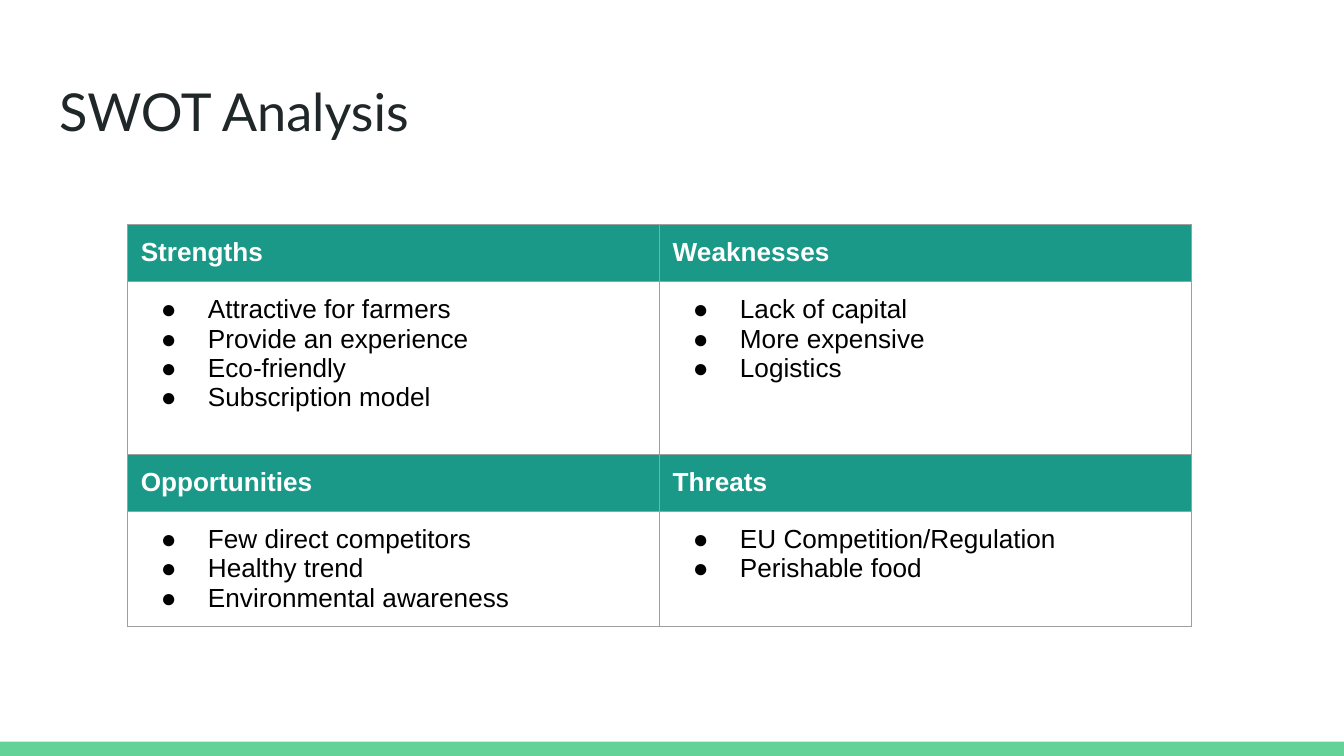
from typing import NamedTuple

from lxml import etree
from pptx import Presentation
from pptx.dml.color import RGBColor
from pptx.enum.shapes import MSO_SHAPE
from pptx.enum.text import MSO_ANCHOR, MSO_AUTO_SIZE, PP_ALIGN
from pptx.oxml.ns import qn
from pptx.util import Pt

RECTANGLE = MSO_SHAPE.RECTANGLE
TOP = MSO_ANCHOR.TOP
NO_AUTOFIT = MSO_AUTO_SIZE.NONE
LEFT = PP_ALIGN.LEFT

TITLE_ONLY = 5
WIDTH, HEIGHT = 720, 405
BAR_HEIGHT = 7.6
INSET = 7.2
TABLE_LEFT, TABLE_TOP = 68.2, 120.4
COLUMN_WIDTH = 285
HEADER_HEIGHT = 30.4
BORDER_WIDTH = 0.75
BULLET_INDENT, BULLET_HANGING = 36, 25.2

WHITE, BLACK = "FFFFFF", "000000"
TEAL, GREEN, GRAY, INK = "1A9988", "63D297", "9E9E9E", "202729"


class Quadrant(NamedTuple):
    heading: str
    points: list[str]


class Band(NamedTuple):
    body_height: float
    quadrants: list[Quadrant]


BANDS = [
    Band(92.8, [
        Quadrant("Strengths", ["Attractive for farmers", "Provide an experience",
                               "Eco-friendly", "Subscription model"]),
        Quadrant("Weaknesses", ["Lack of capital", "More expensive", "Logistics"]),
    ]),
    Band(61.8, [
        Quadrant("Opportunities", ["Few direct competitors", "Healthy trend",
                                   "Environmental awareness"]),
        Quadrant("Threats", ["EU Competition/Regulation", "Perishable food"]),
    ]),
]


def color(value: str) -> RGBColor:
    return RGBColor.from_string(value)


def add_solid_fill(parent, value: str) -> None:
    fill = etree.SubElement(parent, qn("a:solidFill"))
    etree.SubElement(fill, qn("a:srgbClr"), val=value)


def add_bullet(paragraph) -> None:
    properties = paragraph._p.get_or_add_pPr()
    properties.set("marL", str(Pt(BULLET_INDENT)))
    properties.set("indent", str(-Pt(BULLET_HANGING)))
    bullet_color = etree.SubElement(properties, qn("a:buClr"))
    etree.SubElement(bullet_color, qn("a:srgbClr"), val=BLACK)
    etree.SubElement(properties, qn("a:buFont"), typeface="Arial")
    etree.SubElement(properties, qn("a:buChar"), char="●")


def write(text_frame, lines: list[str], *, size: float = 14, font: str = "Arial",
          fill: str = BLACK, bold: bool = False, bulleted: bool = False) -> None:
    text_frame.word_wrap = True
    for index, line in enumerate(lines):
        paragraph = text_frame.add_paragraph() if index else text_frame.paragraphs[0]
        paragraph.alignment = LEFT
        if bulleted:
            add_bullet(paragraph)
        run = paragraph.add_run()
        run.text = line
        run.font.size = Pt(size)
        run.font.name = font
        run.font.bold = bold
        run.font.color.rgb = color(fill)


def set_insets(target) -> None:
    target.margin_left = target.margin_right = Pt(INSET)
    target.margin_top = target.margin_bottom = Pt(INSET)
    target.vertical_anchor = TOP


def add_borders(cell) -> None:
    properties = cell._tc.get_or_add_tcPr()
    for side in ("lnL", "lnR", "lnT", "lnB"):
        line = etree.SubElement(properties, qn(f"a:{side}"), w=str(Pt(BORDER_WIDTH)))
        add_solid_fill(line, GRAY)


def prepare_cell(cell) -> None:
    set_insets(cell)
    add_borders(cell)


def add_title(slide, text: str) -> None:
    title = slide.shapes.title
    title.left, title.top = Pt(24.5), Pt(35)
    title.width, title.height = Pt(671), Pt(45)
    set_insets(title.text_frame)
    title.text_frame.auto_size = NO_AUTOFIT
    write(title.text_frame, [text], size=28, font="Lato", fill=INK)


def add_bottom_bar(slide) -> None:
    bar = slide.shapes.add_shape(RECTANGLE, 0, Pt(HEIGHT - BAR_HEIGHT),
                                 Pt(WIDTH), Pt(BAR_HEIGHT))
    bar.shadow.inherit = False
    bar.fill.solid()
    bar.fill.fore_color.rgb = color(GREEN)
    bar.line.fill.background()


def add_swot_table(slide, bands: list[Band]) -> None:
    column_count = len(bands[0].quadrants)
    height = sum(HEADER_HEIGHT + band.body_height for band in bands)
    table = slide.shapes.add_table(2 * len(bands), column_count, Pt(TABLE_LEFT),
                                   Pt(TABLE_TOP), Pt(column_count * COLUMN_WIDTH),
                                   Pt(height)).table
    table.first_row = table.horz_banding = False
    for band_index, band in enumerate(bands):
        header_row = 2 * band_index
        body_row = header_row + 1
        table.rows[header_row].height = Pt(HEADER_HEIGHT)
        table.rows[body_row].height = Pt(band.body_height)
        for column, quadrant in enumerate(band.quadrants):
            header, body = table.cell(header_row, column), table.cell(body_row, column)
            prepare_cell(header)
            header.fill.solid()
            header.fill.fore_color.rgb = color(TEAL)
            write(header.text_frame, [quadrant.heading], fill=WHITE, bold=True)
            prepare_cell(body)
            body.fill.background()
            write(body.text_frame, quadrant.points, bulleted=True)


def main() -> None:
    presentation = Presentation()
    presentation.slide_width, presentation.slide_height = Pt(WIDTH), Pt(HEIGHT)
    slide = presentation.slides.add_slide(presentation.slide_layouts[TITLE_ONLY])
    slide.background.fill.solid()
    slide.background.fill.fore_color.rgb = color(WHITE)
    add_bottom_bar(slide)
    add_title(slide, "SWOT Analysis")
    add_swot_table(slide, BANDS)
    presentation.save("out.pptx")


if __name__ == "__main__":
    main()
